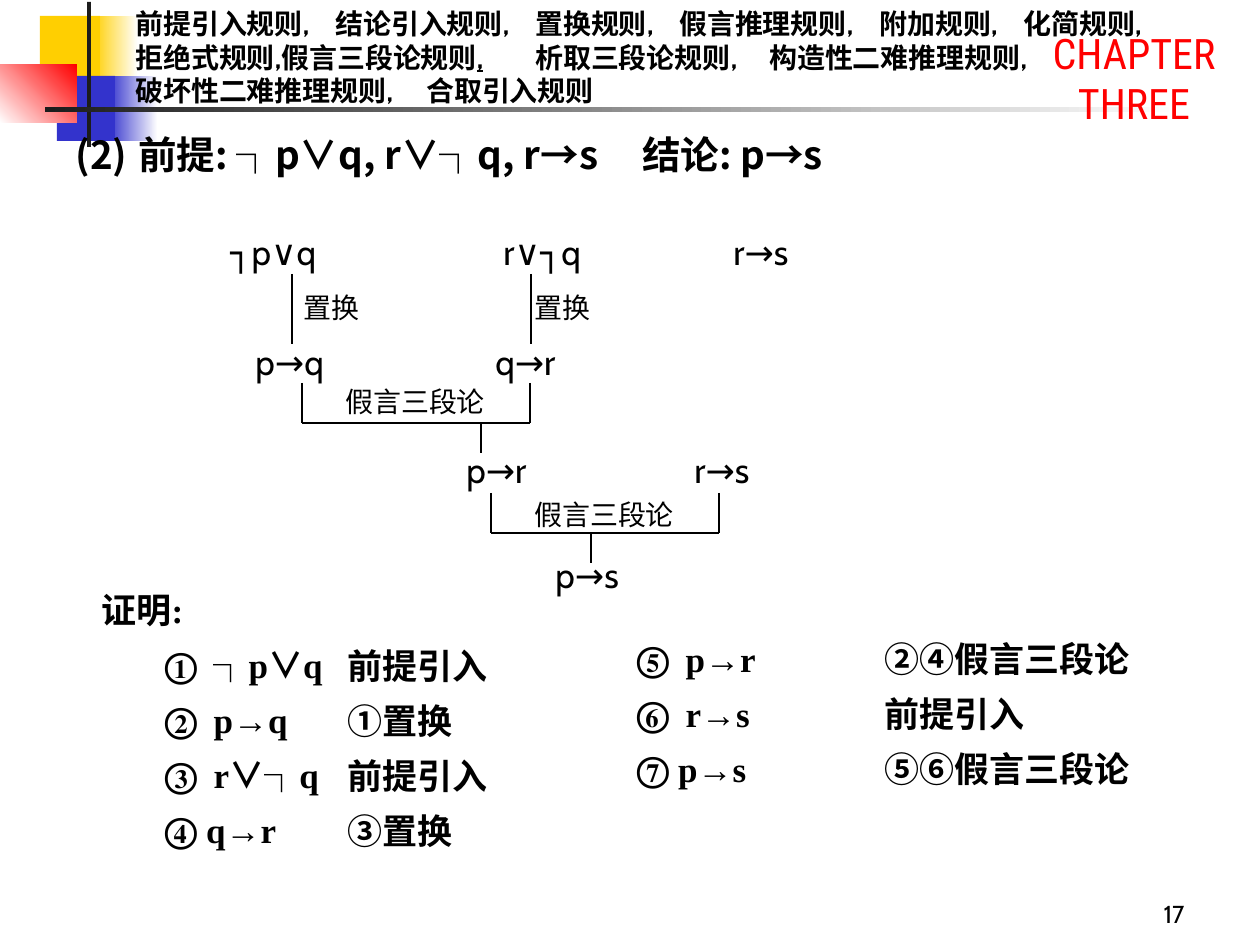
"""Build the slide on proving p→s with inference rules."""
import itertools
import pptx
import pptx.dml.color
import pptx.enum.shapes
import pptx.enum.text
import pptx.oxml
import pptx.oxml.ns
import pptx.util
from dataclasses import dataclass
from lxml import etree

ALIGN = pptx.enum.text.PP_ALIGN
ANCHOR = pptx.enum.text.MSO_ANCHOR
PX = 914400 // 126


@dataclass
class Theme:
    black: str = "000000"
    dark: str = "1C1C1C"
    white: str = "FFFFFF"
    red: str = "FF0000"
    yellow: str = "FFCF01"
    blue: str = "3333CC"
    sans: str = "Cabin"
    cjk: str = "Noto Sans CJK JP"
    heading: str = "Noto Sans CJK SC"
    serif: str = "Times New Roman"
    condensed: str = "Roboto Condensed"
    chapter_size: int = 24
    title_size: int = 22
    proof_size: int = 20
    rule_size: int = 16
    number_size: int = 14


THEME = Theme()

DECORATIONS = [
    ((93, 16, 45, 66), (THEME.yellow, THEME.white), 0),
    ((108, 76, 50, 65), (THEME.blue, THEME.white), 0),
    ((40, 16, 60, 66), (THEME.yellow,), 0),
    ((57, 76, 58, 65), (THEME.blue,), 0),
    ((0, 65, 77, 58), (THEME.white, THEME.red), 45),
    ((87, 2, 4, 145), (THEME.dark,), 0),
    ((45, 107, 1134, 5), (THEME.dark, THEME.white), 0),
]
RULES = [
    (["前提引入规则,\t结论引入规则,\t置换规则,\t假言推理规则,\t附加规则,\t化简规则,"],
     [200, 400, 544, 744, 888]),
    (["拒绝式规则,假言三段论规则", ",", "\t析取三段论规则,\t构造性二难推理规则,"], [400, 634]),
    (["破坏性二难推理规则,\t合取引入规则"], [291]),
]
TITLE = "(2)\t前提: ┐p∨q, r∨┐q, r→s\t结论: p→s"
TITLE_TABS = [80, 592]
PROOF_COLUMNS = [
    ((89, 582, 282, 276),
     ["证明:", "①\t┐p∨q", "②\tp→q", "③\tr∨┐q", "④ q→r"]),
    ((272, 638, 287, 220), ["前提引入", "①置换", "前提引入", "③置换"]),
    ((561, 631, 268, 165), ["⑤\tp→r", "⑥\tr→s", "⑦ p→s"]),
    ((809, 631, 417, 165), ["②④假言三段论", "前提引入", "⑤⑥假言三段论"]),
]
FORMULAS = [
    ("┐p∨q", 218, 224, 115), ("r∨┐q", 491, 224, 108), ("r→s", 721, 224, 86),
    ("p→q", 243, 334, 97), ("q→r", 483, 334, 91),
    ("p→r", 454, 442, 91), ("r→s", 682, 442, 86), ("p→s", 543, 547, 93),
]
STEP_LABELS = [
    ("置换", 291, 284, 81), ("置换", 522, 284, 81),
    ("假言三段论", 333, 378, 165), ("假言三段论", 522, 491, 165),
]
REPLACEMENT_LINES = [292, 531]
BRACKETS = [(302, 383, 481), (491, 493, 591)]
BRACKET_WIDTH, BRACKET_HEIGHT, STEM = 228, 40, 30


def colour(value):
    return pptx.dml.color.RGBColor.from_string(value)


def place(box, frame):
    box.left, box.top, box.width, box.height = [v * PX for v in frame]


def style(para, size, font, bold=False, color=THEME.black):
    para.font.size = pptx.util.Pt(size)
    para.font.name = font
    para.font.bold = bold
    para.font.color.rgb = colour(color)


def set_tabs(para, stops):
    tab_list = etree.SubElement(para._p.get_or_add_pPr(), pptx.oxml.ns.qn("a:tabLst"))
    for stop in stops:
        etree.SubElement(tab_list, pptx.oxml.ns.qn("a:tab"), pos=str(stop * PX), algn="l")


def add_spans(para, text):
    for is_symbol, chars in itertools.groupby(text, lambda char: char in "┐∨"):
        span = para.add_run()
        span.text = "".join(chars)
        if is_symbol:
            span.font.name = THEME.cjk


def add_label(page, text, frame, size, font=THEME.sans, color=THEME.black,
              wrap=False, align=ALIGN.LEFT, anchor=ANCHOR.TOP):
    box = page.shapes.add_textbox(*[v * PX for v in frame])
    box.text_frame.word_wrap = wrap
    box.text_frame.vertical_anchor = anchor
    para = box.text_frame.paragraphs[0]
    para.text = text
    para.alignment = align
    style(para, size, font, color=color)


def add_decoration(page, frame, colors, angle):
    shape = page.shapes.add_shape(pptx.enum.shapes.MSO_SHAPE.RECTANGLE,
                                  *[v * PX for v in frame])
    shape.shadow.inherit = False
    shape.line.fill.background()
    if len(colors) == 1:
        shape.fill.solid()
        shape.fill.fore_color.rgb = colour(colors[0])
        return
    shape.fill.gradient()
    shape.fill.gradient_angle = angle
    for stop, value in zip(shape.fill.gradient_stops, colors):
        stop.color.rgb = colour(value)


def add_line(page, *ends):
    line = page.shapes.add_connector(pptx.enum.shapes.MSO_CONNECTOR.STRAIGHT,
                                     *[v * PX for v in ends])
    line.line.color.rgb = colour(THEME.black)
    line.line.width = pptx.util.Pt(0.75)
    etree.SubElement(line._element.spPr, pptx.oxml.ns.qn("a:effectLst"))


def fill_placeholder(page, box, frame, lines, size, font, tabs=()):
    page.shapes.element.append(box.element)
    place(box, frame)
    text = box.text_frame
    text.word_wrap = True
    text.auto_size = pptx.enum.text.MSO_AUTO_SIZE.NONE
    text.vertical_anchor = ANCHOR.TOP
    for index, line in enumerate(lines):
        para = text.add_paragraph() if index else text.paragraphs[0]
        para.alignment = ALIGN.JUSTIFY
        para.space_before = pptx.util.Pt(7.5 if index else 0)
        props = para._p.get_or_add_pPr()
        hang = 49 if line[1:2] == "\t" else 0
        margin = 0 if line[0] in "证(" else 63 + hang
        props.set("marL", str(margin * PX))
        props.set("indent", str(-hang * PX))
        etree.SubElement(props, pptx.oxml.ns.qn("a:buNone"))
        if tabs:
            set_tabs(para, tabs)
        style(para, size, font, bold=True)
        add_spans(para, line)


def add_rules(page):
    box = page.shapes.add_textbox(*[v * PX for v in (123, 0, 1062, 114)])
    box.text_frame.word_wrap = True
    box.text_frame.vertical_anchor = ANCHOR.MIDDLE
    for index, (pieces, stops) in enumerate(RULES):
        para = box.text_frame.add_paragraph() if index else box.text_frame.paragraphs[0]
        set_tabs(para, stops)
        style(para, THEME.rule_size, THEME.sans, bold=True)
        for order, piece in enumerate(pieces):
            span = para.add_run()
            span.text = piece
            if order == 1:
                span.font.underline = True


def main():
    deck = pptx.Presentation()
    deck.slide_width, deck.slide_height = 1260 * PX, 945 * PX
    page = deck.slides.add_slide(deck.slide_layouts.get_by_name("Comparison"))
    title, *columns = list(page.placeholders)
    for decoration in DECORATIONS:
        add_decoration(page, *decoration)
    add_label(page, "CHAPTER THREE", (1008, 21, 252, 113), THEME.chapter_size,
              THEME.condensed, THEME.red, wrap=True, align=ALIGN.CENTER)
    add_label(page, "17", (935, 872, 262, 63), THEME.number_size, wrap=True,
              align=ALIGN.RIGHT, anchor=ANCHOR.BOTTOM)
    add_rules(page)
    fill_placeholder(page, title, (63, 125, 1197, 59), [TITLE],
                     THEME.title_size, THEME.heading, TITLE_TABS)
    for box, (frame, lines) in zip(columns, PROOF_COLUMNS):
        fill_placeholder(page, box, frame, lines, THEME.proof_size, THEME.serif)
    for text, left, top, width in FORMULAS:
        add_label(page, text, (left, top, width, 55), THEME.proof_size)
    for text, left, top, width in STEP_LABELS:
        add_label(page, text, (left, top, width, 47), THEME.rule_size)
    for x in REPLACEMENT_LINES:
        add_line(page, x, 274, x, 344)
    for left, top, stem in BRACKETS:
        right, bar = left + BRACKET_WIDTH, top + BRACKET_HEIGHT
        for x in (left, right):
            add_line(page, x, top, x, bar)
        add_line(page, left, bar, right, bar)
        add_line(page, stem, bar, stem, bar + STEM)
    deck.save("out.pptx")


if __name__ == "__main__":
    main()
